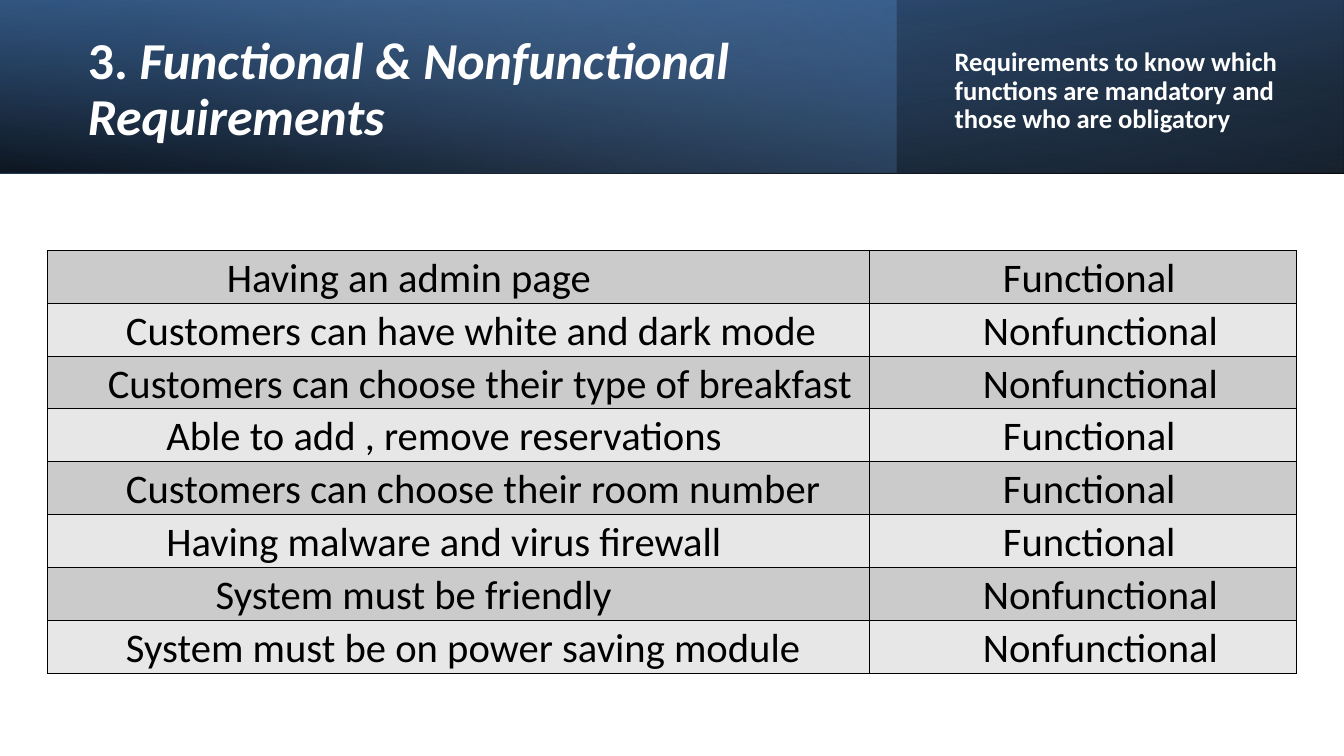
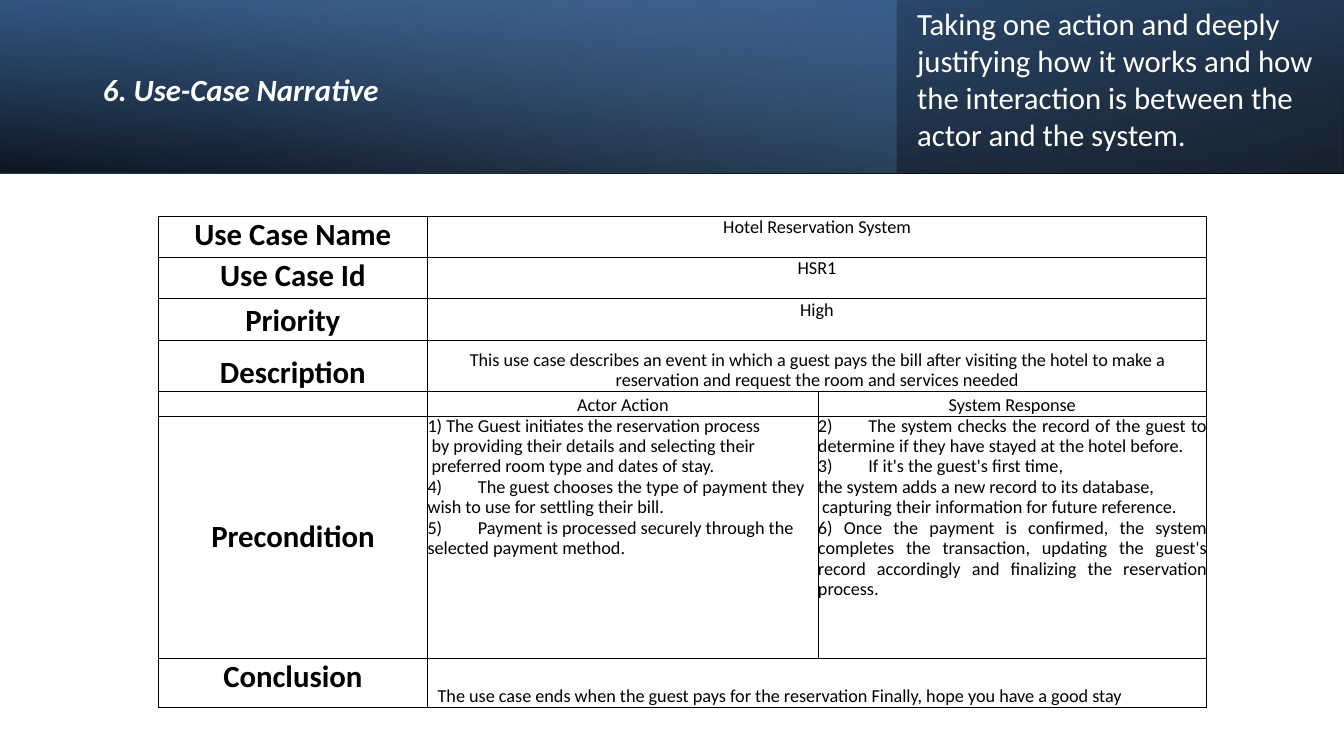
"""Build two slides on the requirements and a use case of a hotel reservation system."""

from dataclasses import dataclass
from typing import NamedTuple, Optional

from pptx import Presentation
from pptx.dml.color import RGBColor
from pptx.enum.shapes import MSO_SHAPE as Preset
from pptx.enum.text import MSO_ANCHOR as Anchor, PP_ALIGN as Align
from pptx.oxml import parse_xml
from pptx.oxml.ns import qn
from pptx.util import Emu, Inches, Pt

WHITE = RGBColor(0xFF, 0xFF, 0xFF)
BLACK = RGBColor(0x00, 0x00, 0x00)
NAVY = RGBColor(0x37, 0x60, 0x92)
BLUE = RGBColor(0x4F, 0x81, 0xBD)
PALE_BLUE = RGBColor(0x95, 0xB3, 0xD7)
DARK_GREY = RGBColor(0xCB, 0xCB, 0xCB)
LIGHT_GREY = RGBColor(0xE7, 0xE7, 0xE7)

FONT = "Calibri"
SLIDE_WIDTH, SLIDE_HEIGHT = Inches(13.33), Inches(7.5)
BORDER = Pt(0.75)
LABEL_SIZE, DETAIL_SIZE = 22, 13
NUMBER_TAB = Inches(0.31)
DRAWING = 'xmlns:a="http://schemas.openxmlformats.org/drawingml/2006/main"'


class Area(NamedTuple):
    """A rectangle in percent of the slide's width and height."""

    left: float
    top: float
    width: float
    height: float

    def lengths(self) -> list[Emu]:
        sides = (SLIDE_WIDTH, SLIDE_HEIGHT) * 2
        return [Emu(round(side * share / 100)) for side, share in zip(sides, self)]


class Stop(NamedTuple):
    """A gradient stop; position and opacity are in percent."""

    position: int
    color: RGBColor
    opacity: int


@dataclass(frozen=True)
class Band:
    """One gradient layer of the header."""

    width: float
    angle: int
    stops: tuple[Stop, ...]
    rotation: int = 0
    flipped: bool = False


@dataclass(frozen=True)
class Requirement:
    """A requirement with its kind; indent is in inches."""

    text: str
    indent: float
    functional: bool


@dataclass(frozen=True)
class UseCaseRow:
    """A row of the use case table; one detail spans both detail columns."""

    label: str
    details: tuple[str, ...]
    height: float
    label_anchor: Anchor = Anchor.TOP
    detail_anchor: Anchor = Anchor.TOP
    align: Align = Align.CENTER
    spacing: Optional[float] = None
    indent: float = 0
    space_after: float = 0


HEADER_HEIGHT = 22.9
HEADER_BANDS = (
    Band(100, 100, (Stop(0, BLACK, 96), Stop(100, NAVY, 100)), 180, True),
    Band(66.7, 140, (Stop(0, BLUE, 41), Stop(74, PALE_BLUE, 0))),
    Band(100, 260, (Stop(0, BLACK, 63), Stop(78, BLUE, 15)), flipped=True),
)
TITLE_AREA = Area(5.8, 3.6, 57.9, 16.9)

REQUIREMENTS = (
    Requirement("Having an admin page", 1.78, True),
    Requirement("Customers can have white and dark mode", 0.78, False),
    Requirement("Customers can choose their type of breakfast", 0.6, False),
    Requirement("Able to add , remove reservations", 1.18, True),
    Requirement("Customers can choose their room number", 0.78, True),
    Requirement("Having malware and virus firewall", 1.18, True),
    Requirement("System must be friendly", 1.67, False),
    Requirement("System must be on power saving module", 0.78, False),
)

ACTOR_STEPS = """1) The Guest initiates the reservation process
 by providing their details and selecting their
 preferred room type and dates of stay.
4)\tThe guest chooses the type of payment they
wish to use for settling their bill.
5)\tPayment is processed securely through the
selected payment method."""
SYSTEM_STEPS = """2)\tThe system checks the record of the guest to determine if they have stayed at the hotel before.
3)\tIf it's the guest's first time,
the system adds a new record to its database,
 capturing their information for future reference.
6) Once the payment is confirmed, the system completes the transaction, updating the guest's record accordingly and finalizing the reservation process."""
DESCRIPTION = (
    "This use case describes an event in which a guest pays the bill after visiting "
    "the hotel to make a reservation and request the room and services needed"
)
CONCLUSION = "The use case ends when the guest pays for the reservation Finally, hope you have a good stay"

USE_CASE = (
    UseCaseRow("Use Case Name", ("Hotel Reservation System",), 0.41),
    UseCaseRow("Use Case Id", ("HSR1",), 0.41),
    UseCaseRow("Priority", ("High",), 0.41, Anchor.BOTTOM),
    UseCaseRow("Description", (DESCRIPTION,), 0.51, Anchor.BOTTOM, Anchor.BOTTOM, spacing=14.6),
    UseCaseRow("", ("Actor Action", "System Response"), 0.25, detail_anchor=Anchor.BOTTOM),
    UseCaseRow("Precondition", (ACTOR_STEPS, SYSTEM_STEPS), 2.4, Anchor.MIDDLE,
               align=Align.JUSTIFY, spacing=14.6),
    UseCaseRow("Conclusion", (CONCLUSION,), 0.49, detail_anchor=Anchor.BOTTOM,
               align=Align.JUSTIFY, indent=0.1, space_after=2.1),
)


def write(frame, text: str, *, size: float, color: RGBColor = BLACK, bold: bool = False,
          italic: bool = False, upright_lead: str = "", align: Align = Align.LEFT,
          spacing=None, indent: float = 0, space_after: float = 0) -> None:
    """Write one paragraph per line, the upright lead opening the first."""
    for index, line in enumerate(text.split("\n")):
        paragraph = frame.add_paragraph() if index else frame.paragraphs[0]
        paragraph.alignment = align
        paragraph.line_spacing = spacing
        paragraph.space_after = Pt(space_after)
        properties = paragraph._p.get_or_add_pPr()
        properties.set("marL", str(Inches(indent)))
        properties.set("indent", "0")
        if "\t" in line:
            properties.append(parse_xml(
                f'<a:tabLst {DRAWING}><a:tab pos="{NUMBER_TAB}" algn="l"/></a:tabLst>'))
        lead = "" if index else upright_lead
        for part, slanted in ((lead, False), (line, italic)):
            if part:
                run = paragraph.add_run()
                run.text = part
                font = run.font
                font.name, font.size = FONT, Pt(size)
                font.bold, font.italic = bold, slanted
                font.color.rgb = color
        if not line:
            paragraph._p.append(parse_xml(f'<a:endParaRPr {DRAWING} sz="{size * 100}"/>'))


def add_text(slide, area: Area, text: str, *, anchor: Anchor = Anchor.MIDDLE, **text_format) -> None:
    """Add a wrapped white text box."""
    frame = slide.shapes.add_textbox(*area.lengths()).text_frame
    frame.word_wrap = True
    frame.vertical_anchor = anchor
    write(frame, text, color=WHITE, **text_format)


def add_band(slide, band: Band) -> None:
    """Add one translucent gradient layer of the header."""
    area = Area(0, 0, band.width, HEADER_HEIGHT)
    shape = slide.shapes.add_shape(Preset.RECTANGLE, *area.lengths())
    shape.shadow.inherit = False
    shape.line.fill.background()
    shape.rotation = band.rotation
    shape.fill.background()
    properties = shape._element.spPr
    if band.flipped:
        properties.find(qn("a:xfrm")).set("flipH", "1")
    stops = "".join(
        f'<a:gs pos="{stop.position * 1000}"><a:srgbClr val="{stop.color}">'
        f'<a:alpha val="{stop.opacity * 1000}"/></a:srgbClr></a:gs>'
        for stop in band.stops)
    gradient = parse_xml(
        f'<a:gradFill {DRAWING} rotWithShape="1"><a:gsLst>{stops}</a:gsLst>'
        f'<a:lin ang="{band.angle * 60000}" scaled="0"/></a:gradFill>')
    properties.replace(properties.find(qn("a:noFill")), gradient)


def add_header_slide(presentation):
    """Add a blank slide with the shared header."""
    slide = presentation.slides.add_slide(presentation.slide_layouts[6])
    for band in HEADER_BANDS:
        add_band(slide, band)
    return slide


def style_cell(cell, fill: Optional[RGBColor]) -> None:
    """Give a cell its fill, no margins and a thin black border."""
    if fill is None:
        cell.fill.background()
    else:
        cell.fill.solid()
        cell.fill.fore_color.rgb = fill
    cell.margin_left = cell.margin_right = cell.margin_top = cell.margin_bottom = 0
    properties = cell._tc.get_or_add_tcPr()
    for index, side in enumerate("LRTB"):
        properties.insert(index, parse_xml(
            f'<a:ln{side} {DRAWING} w="{BORDER}"><a:solidFill>'
            f'<a:srgbClr val="{BLACK}"/></a:solidFill></a:ln{side}>'))


def add_grid(slide, area: Area, columns: list[float], rows: list[float],
             fills: tuple[Optional[RGBColor], ...]):
    """Add a bordered table, its sides split by weight and its row fills cycled."""
    lengths = area.lengths()
    table = slide.shapes.add_table(len(rows), len(columns), *lengths).table
    table.first_row = table.horz_banding = False
    for column, weight in zip(table.columns, columns):
        column.width = Emu(round(lengths[2] * weight / sum(columns)))
    for index, (row, weight) in enumerate(zip(table.rows, rows)):
        row.height = Emu(round(lengths[3] * weight / sum(rows)))
        for cell in row.cells:
            style_cell(cell, fills[index % len(fills)])
    return table


def fill_cell(cell, text: str, anchor: Anchor, **text_format) -> None:
    """Write into a table cell."""
    cell.vertical_anchor = anchor
    write(cell.text_frame, text, **text_format)


def add_requirements_slide(presentation) -> None:
    """Add the slide that sorts requirements by kind."""
    slide = add_header_slide(presentation)
    add_text(slide, TITLE_AREA, "Functional & Nonfunctional Requirements", upright_lead="3. ",
             size=37, bold=True, italic=True, spacing=0.9)
    add_text(slide, Area(70.3, 5.7, 26.6, 12.8),
             "Requirements to know which functions are mandatory and those who are obligatory",
             size=19, bold=True, spacing=0.9)
    table = add_grid(slide, Area(3.52, 33.1, 92.93, 56), [8.16, 4.23],
                     [1] * len(REQUIREMENTS), (DARK_GREY, LIGHT_GREY))
    for row, requirement in zip(table.rows, REQUIREMENTS):
        kind, kind_indent = ("Functional", 1.32) if requirement.functional else ("Nonfunctional", 1.12)
        texts = ((requirement.text, requirement.indent), (kind, kind_indent))
        for cell, (text, indent) in zip(row.cells, texts):
            fill_cell(cell, text, Anchor.BOTTOM, size=29, indent=indent)


def add_use_case_slide(presentation) -> None:
    """Add the slide that narrates the use case."""
    slide = add_header_slide(presentation)
    add_text(slide, TITLE_AREA, "6. Use-Case Narrative", size=22, bold=True, italic=True,
             spacing=0.9, indent=0.15)
    add_text(slide, Area(67.5, 0, 32.5, 21.1),
             "Taking one action and deeply justifying how it works and how "
             "the interaction is between the actor and the system.",
             size=22, anchor=Anchor.TOP)
    table = add_grid(slide, Area(11.77, 28.6, 78, 65), [2.67, 3.87, 3.85],
                     [entry.height for entry in USE_CASE], (None,))
    for index, entry in enumerate(USE_CASE):
        label_cell, *detail_cells = (table.cell(index, column) for column in range(3))
        fill_cell(label_cell, entry.label, entry.label_anchor, bold=True, align=Align.CENTER,
                  size=LABEL_SIZE if entry.label else DETAIL_SIZE)
        if len(entry.details) == 1:
            detail_cells[0].merge(detail_cells[1])
        for cell, detail in zip(detail_cells, entry.details):
            fill_cell(cell, detail, entry.detail_anchor, size=DETAIL_SIZE, align=entry.align,
                      spacing=Pt(entry.spacing) if entry.spacing else None,
                      indent=entry.indent, space_after=entry.space_after)


def main() -> None:
    """Build and save the presentation."""
    presentation = Presentation()
    presentation.slide_width, presentation.slide_height = SLIDE_WIDTH, SLIDE_HEIGHT
    add_requirements_slide(presentation)
    add_use_case_slide(presentation)
    presentation.save("out.pptx")


if __name__ == "__main__":
    main()
